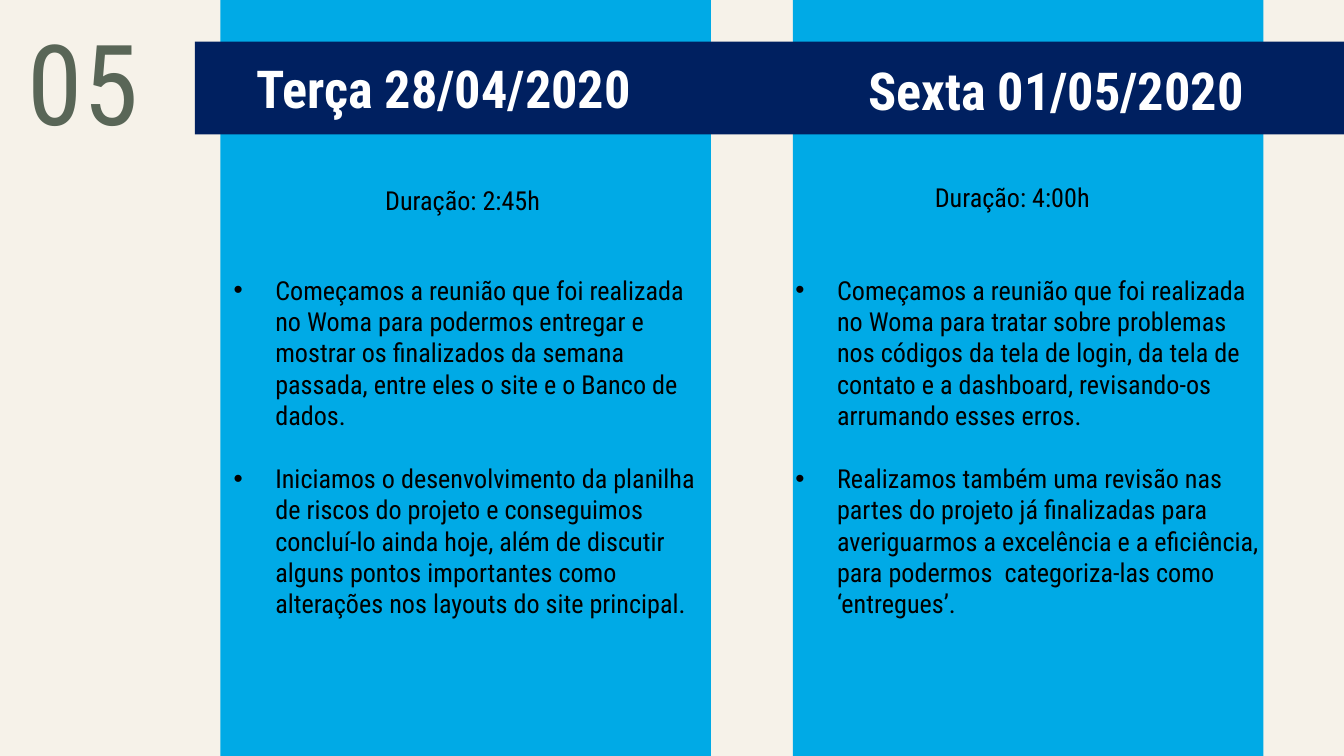
"""Build a slide that reports two meetings side by side under a date banner."""
from lxml.etree import SubElement
from pptx import Presentation
from pptx.dml.color import RGBColor
from pptx.enum.shapes import MSO_SHAPE as Shape
from pptx.enum.text import MSO_ANCHOR as Anchor, PP_ALIGN as Align
from pptx.oxml.ns import qn
from pptx.util import Inches, Pt

WIDTH = 10
HEIGHT = WIDTH * 9 / 16
FONT = "Roboto Condensed"
COLORS = {"paper": "F6F2E9", "column": "00AAE6", "banner": "002060",
          "number": "596657", "heading": "FFFFFF", "body": "000000"}
BANNER = (1.45, 0.31, 8.55, 0.69)
NUMBER = ("05", (0.11, 0, 2.24, 1.15))
TEXT_WIDTH, BODY_TOP, INDENT = 3.65, 1.99, 0.31
MEETINGS = [
    {
        "column": (1.64, 3.65),
        "heading": "Terça 28/04/2020",
        "heading_area": (1.81, 0.37, 3.33, 0.57),
        "heading_style": {"align": Align.LEFT, "anchor": Anchor.TOP},
        "duration": "Duração: 2:45h ",
        "duration_at": (1.64, 1.32),
        "body": (1.64, 3.4),
        "points": [
            "Começamos a reunião que foi realizada no Woma para podermos entregar e mostrar "
            "os finalizados da semana passada, entre eles o site e o Banco de dados.",
            "Iniciamos o desenvolvimento da planilha de riscos do projeto e conseguimos "
            "concluí-lo ainda hoje, além de discutir alguns pontos importantes como "
            "alterações nos layouts do site principal.",
        ],
    },
    {
        "column": (5.9, 3.5),
        "heading": "Sexta 01/05/2020",
        "heading_area": (5.61, 0.31, 3.74, 0.69),
        "heading_style": {"align": Align.RIGHT, "anchor": Anchor.BOTTOM, "inset": 0.1},
        "duration": "Duração: 4:00h ",
        "duration_at": (5.73, 1.3),
        "body": (5.82, 3.16),
        "points": [
            "Começamos a reunião que foi realizada no Woma para tratar sobre problemas nos "
            "códigos da tela de login, da tela de contato e a dashboard, revisando-os "
            "arrumando esses erros.",
            "Realizamos também uma revisão nas partes do projeto já finalizadas para "
            "averiguarmos a excelência e a eficiência, para podermos  categoriza-las como "
            "‘entregues’.",
        ],
    },
]


def color(name):
    return RGBColor.from_string(COLORS[name])


def add_block(page, area, fill):
    block = page.shapes.add_shape(Shape.RECTANGLE, *map(Inches, area))
    block.shadow.inherit = False
    block.fill.solid()
    block.fill.fore_color.rgb = color(fill)
    block.line.fill.background()


def add_text(page, area, lines, size, ink, align=Align.LEFT, bold=False,
             anchor=Anchor.TOP, inset=0.05):
    box = page.shapes.add_textbox(*map(Inches, area))
    frame = box.text_frame
    frame.word_wrap = True
    frame.vertical_anchor = anchor
    frame.margin_left = frame.margin_right = Inches(0.1)
    frame.margin_top = frame.margin_bottom = Inches(inset)
    for index, line in enumerate(lines):
        para = frame.add_paragraph() if index else frame.paragraphs[0]
        para.alignment = align
        span = para.add_run()
        span.text = line
        span.font.name, span.font.size, span.font.bold = FONT, Pt(size), bold
        span.font.color.rgb = color(ink)
    return frame


def add_bullets(frame):
    for para in frame.paragraphs:
        para.space_after = Pt(16.8)
        props = para._p.get_or_add_pPr()
        props.set("marL", str(Inches(INDENT)))
        props.set("indent", str(-Inches(INDENT)))
        SubElement(props, qn("a:buFont"), typeface="Arial")
        SubElement(props, qn("a:buChar"), char="•")


def main():
    deck = Presentation()
    deck.slide_width, deck.slide_height = Inches(WIDTH), Inches(HEIGHT)
    page = deck.slides.add_slide(deck.slide_layouts[6])
    page.background.fill.solid()
    page.background.fill.fore_color.rgb = color("paper")

    for meeting in MEETINGS:
        left, width = meeting["column"]
        add_block(page, (left, 0, width, HEIGHT), "column")
    number, area = NUMBER
    add_text(page, area, [number], 60, "number", inset=0.1)
    add_block(page, BANNER, "banner")

    for meeting in MEETINGS:
        add_text(page, meeting["heading_area"], [meeting["heading"]], 28, "heading",
                 bold=True, **meeting["heading_style"])
        add_text(page, (*meeting["duration_at"], TEXT_WIDTH, 0.34), [meeting["duration"]],
                 14, "body", Align.CENTER)
        left, height = meeting["body"]
        area = (left, BODY_TOP, TEXT_WIDTH, height)
        add_bullets(add_text(page, area, meeting["points"], 14, "body"))

    deck.save("out.pptx")


if __name__ == "__main__":
    main()
